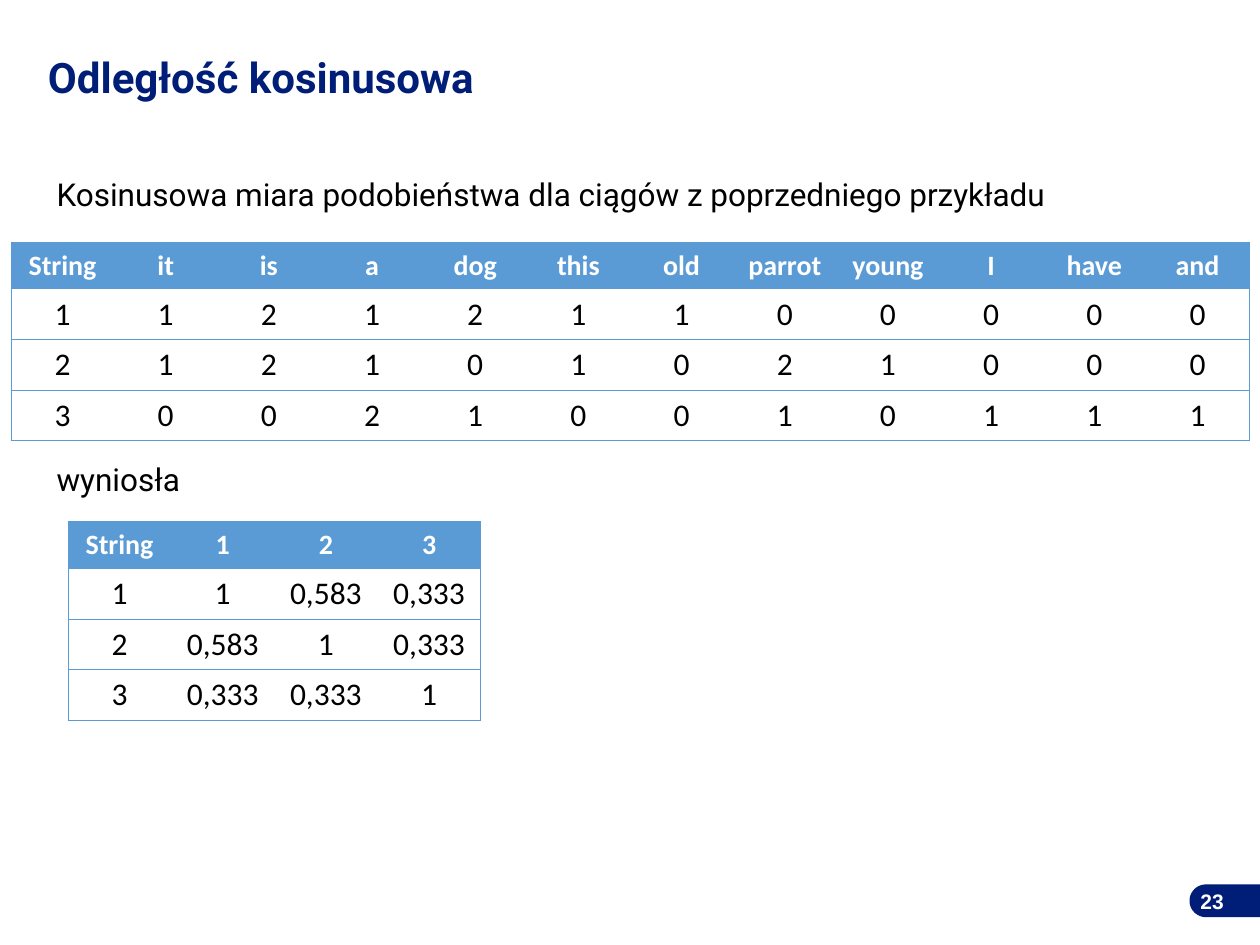
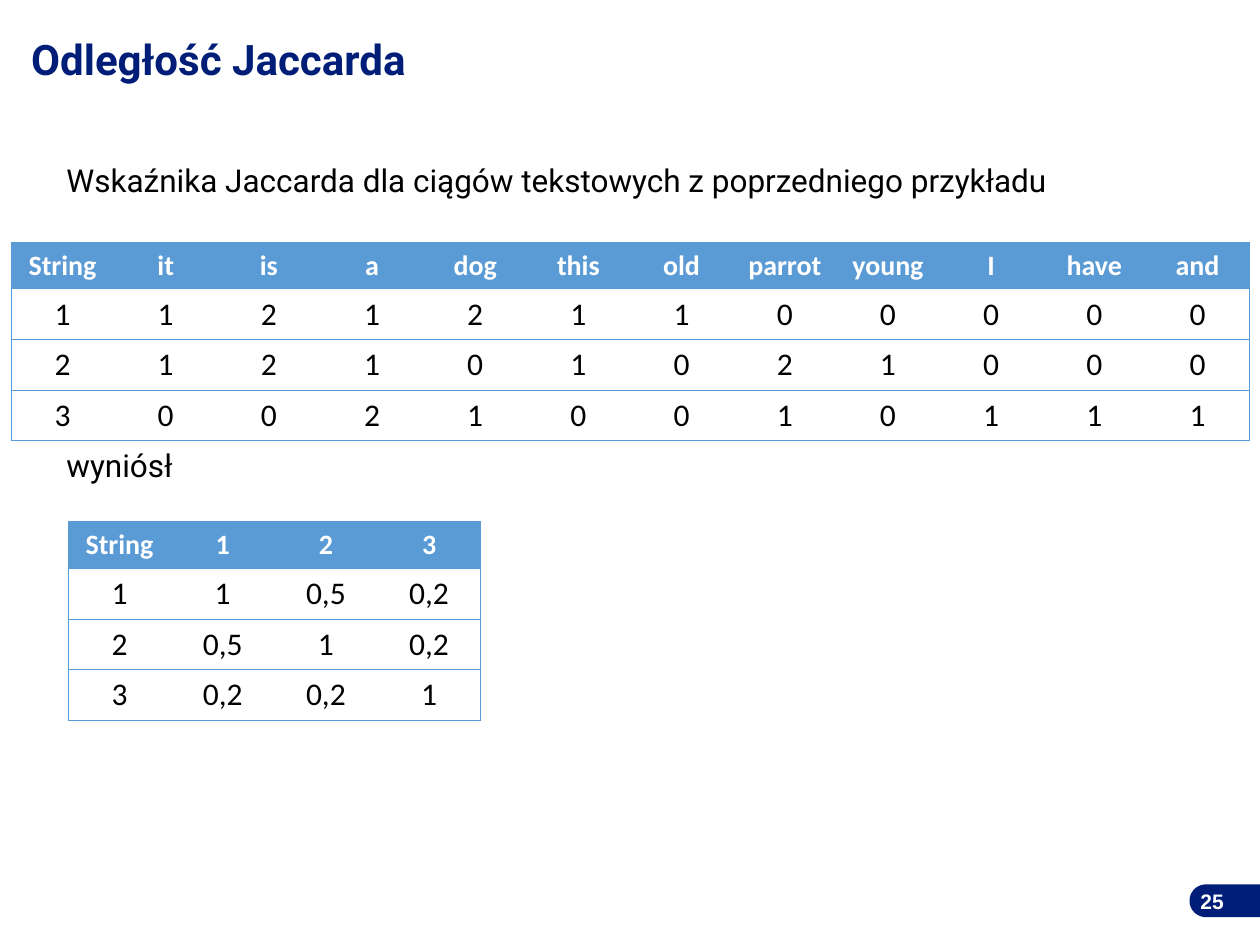
from math import cos, pi, sin

from lxml.etree import SubElement
from pptx import Presentation
from pptx.dml.color import RGBColor
from pptx.enum.text import MSO_ANCHOR as Anchor, PP_ALIGN as Align
from pptx.oxml.ns import qn
from pptx.util import Cm, Pt

NAVY = RGBColor(0x00, 0x1D, 0x77)
BLUE = RGBColor(0x5B, 0x9B, 0xD5)
WHITE = RGBColor(0xFF, 0xFF, 0xFF)
BLACK = RGBColor(0x00, 0x00, 0x00)

TITLE_FONT = {"name": "Roboto", "size": Pt(24), "bold": True, "color": NAVY}
BODY_FONT = {"name": "Roboto", "size": Pt(18), "color": BLACK}
NUMBER_FONT = {"name": "Arial", "size": Pt(12), "bold": True, "color": WHITE}
HEADER_FONT = {"name": "Calibri", "size": Pt(16), "bold": True, "color": WHITE}
CELL_FONT = {"name": "Calibri", "size": Pt(18), "bold": False, "color": BLACK}

COLUMN_WIDTH = Cm(2.08)
HEADER_HEIGHT = Cm(0.94)
ROW_HEIGHT = Cm(1.02)
NO_STYLE = "{2D5ABB26-0587-4C30-8999-92F81FD0307C}"

WORD_COUNTS = [
    "String it is a dog this old parrot young I have and".split(),
    "1 1 2 1 2 1 1 0 0 0 0 0".split(),
    "2 1 2 1 0 1 0 2 1 0 0 0".split(),
    "3 0 0 2 1 0 0 1 0 1 1 1".split(),
]

SLIDES = [
    {
        "title": "Odległość kosinusowa",
        "title_box": (0.23, 0.74, 10.06, 1.75),
        "body": ["Kosinusowa miara podobieństwa dla ciągów z poprzedniego przykładu",
                 "wyniosła"],
        "body_at": (0.89, 2.24),
        "similarities": ("0,583", "0,333", "0,333"),
        "number": 23,
    },
    {
        "title": "Odległość Jaccarda",
        "title_box": (-1.63, 0.38, 12.07, 1.75),
        "body": ["Wskaźnika Jaccarda dla ciągów tekstowych z poprzedniego przykładu",
                 "wyniósł"],
        "body_at": (1.09, 1.96),
        "similarities": ("0,5", "0,2", "0,2"),
        "number": 25,
    },
]


def write(paragraph, text, font_values, **paragraph_values):
    run = paragraph.add_run()
    run.text = text
    for name, value in font_values.items():
        if name == "color":
            run.font.color.rgb = value
        else:
            setattr(run.font, name, value)
    for name, value in paragraph_values.items():
        setattr(paragraph, name, value)


def add_text_frame(slide, box, **frame_values):
    frame = slide.shapes.add_textbox(*map(Cm, box)).text_frame
    for name, value in {"word_wrap": True, **frame_values}.items():
        setattr(frame, name, value)
    return frame


def add_title(slide, text, box):
    frame = add_text_frame(slide, box, vertical_anchor=Anchor.MIDDLE)
    write(frame.paragraphs[0], text, TITLE_FONT,
          alignment=Align.CENTER, line_spacing=0.9)


def add_body(slide, lines, position):
    """Write the line above the word table and the one below it."""
    frame = add_text_frame(slide, (*position, 23.6, 10.52), margin_top=Cm(1.29))
    above, below = lines
    write(frame.paragraphs[0], above, BODY_FONT)
    write(frame.add_paragraph(), below, BODY_FONT, space_before=Pt(141))


def add_page_number(slide, number):
    """Draw the tab with a round left end at the slide's edge, and its number."""
    right, middle, radius, round_center = 25.4, 18.16, 0.33, 24.31
    angles = [pi / 2 + pi * step / 24 for step in range(25)]
    arc = [(Cm(round_center + radius * cos(angle)), Cm(middle - radius * sin(angle)))
           for angle in angles]
    builder = slide.shapes.build_freeform(Cm(right), Cm(middle - radius))
    builder.add_line_segments([*arc, (Cm(right), Cm(middle + radius))], close=True)
    tab = builder.convert_to_shape()
    tab.shadow.inherit = False
    tab.fill.solid()
    tab.fill.fore_color.rgb = NAVY
    tab.line.fill.background()

    frame = add_text_frame(slide, (23.75, 17.65, 1.17, 1.02),
                           vertical_anchor=Anchor.MIDDLE)
    write(frame.paragraphs[0], str(number), NUMBER_FONT, alignment=Align.RIGHT)


def set_borders(cell, visible_sides):
    properties = cell._tc.get_or_add_tcPr()
    for side in "LRTB":
        line = SubElement(properties, qn(f"a:ln{side}"), w=str(Pt(0.5)))
        if side in visible_sides:
            fill = SubElement(line, qn("a:solidFill"))
            SubElement(fill, qn("a:srgbClr"), val=str(BLUE))
        else:
            SubElement(line, qn("a:noFill"))


def add_table(slide, rows, left, top):
    row_count, column_count = len(rows), len(rows[0])
    height = HEADER_HEIGHT + ROW_HEIGHT * (row_count - 1)
    table = slide.shapes.add_table(row_count, column_count, Cm(left), Cm(top),
                                   COLUMN_WIDTH * column_count, height).table
    table._tbl.tblPr.find(qn("a:tableStyleId")).text = NO_STYLE
    table.horz_banding = False
    for column in table.columns:
        column.width = COLUMN_WIDTH
    for row_index, values in enumerate(rows):
        is_header = row_index == 0
        table.rows[row_index].height = HEADER_HEIGHT if is_header else ROW_HEIGHT
        for column_index, value in enumerate(values):
            cell = table.cell(row_index, column_index)
            cell.vertical_anchor = Anchor.MIDDLE
            sides = "TB"
            if column_index == 0:
                sides += "L"
            if column_index == column_count - 1:
                sides += "R"
            set_borders(cell, sides)
            if is_header:
                cell.fill.solid()
                cell.fill.fore_color.rgb = BLUE
            else:
                cell.fill.background()
            write(cell.text_frame.paragraphs[0], value,
                  HEADER_FONT if is_header else CELL_FONT, alignment=Align.CENTER)


def similarity_rows(first_second, first_third, second_third):
    """Return the symmetric matrix of the three strings, with its header."""
    return [
        ["String", "1", "2", "3"],
        ["1", "1", first_second, first_third],
        ["2", first_second, "1", second_third],
        ["3", first_third, second_third, "1"],
    ]


def main():
    presentation = Presentation()
    presentation.slide_width, presentation.slide_height = Cm(25.4), Cm(19.05)
    for content in SLIDES:
        slide = presentation.slides.add_slide(presentation.slide_layouts[6])
        add_title(slide, content["title"], content["title_box"])
        add_body(slide, content["body"], content["body_at"])
        add_page_number(slide, content["number"])
        add_table(slide, WORD_COUNTS, 0.22, 4.88)
        add_table(slide, similarity_rows(*content["similarities"]), 1.37, 10.52)
    presentation.save("out.pptx")


if __name__ == "__main__":
    main()
